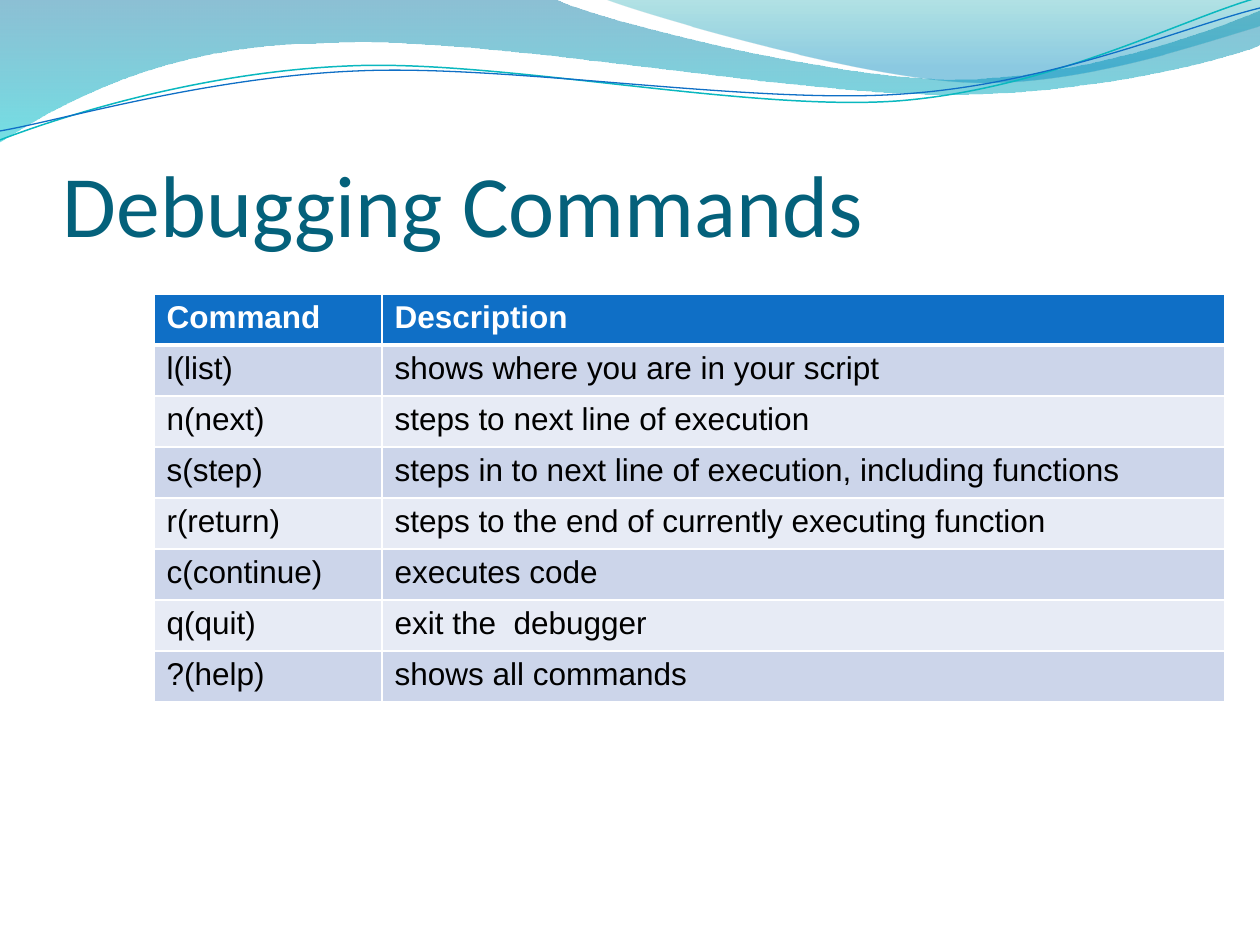
from dataclasses import dataclass
from lxml.etree import SubElement
from pptx import Presentation
from pptx.dml.color import RGBColor
from pptx.enum.text import MSO_ANCHOR
from pptx.oxml import parse_xml
from pptx.oxml.ns import nsdecls, qn
from pptx.util import Pt

PX = 914400 // 126


@dataclass(frozen=True)
class Theme:
    title: str = "04617B"
    head: str = "0F6FC6"
    bands: tuple = ("CCD5EA", "E7EBF5")
    white: str = "FFFFFF"
    ink: str = "000000"
    teal: str = "0AB8BF"
    wave: tuple = ((0, "0074A1", 45), (100, "00C6CF", 55))
    glow: tuple = ((0, "00A1A9", 30), (80, "008BBF", 45))
    big: int = 50
    body: int = 18
    serif: str = "Calibri"
    sans: str = "Arial"


THEME = Theme()

WAVE = [
    (0, -1), (554, -1),
    (600, 21, 837, 79, 955, 79), (1075, 79, 1207, 33, 1260, 11),
    (1261, 45),
    (1239, 55, 1096, 96, 940, 94), (784, 94, 481, 35, 324, 43),
    (163, 44, 58, 105, -1, 142),
]
GLOW = [
    (604, -1),
    (641, 14, 859, 78, 969, 82), (1079, 87, 1211, 40, 1260, 26),
    (1260, 0),
]
TEAL = [
    (0, 140),
    (60, 117, 199, 72, 349, 66), (498, 59, 747, 112, 898, 101),
    (1050, 89, 1182, 19, 1257, -2),
]
BLUE = [
    (0, 131),
    (59, 121, 207, 77, 357, 71), (508, 64, 752, 105, 903, 94),
    (1053, 84, 1186, 26, 1260, 8),
]
ROWS = [
    ("Command", "Description"),
    ("l(list)", "shows where you are in your script"),
    ("n(next)", "steps to next line of execution"),
    ("s(step)", "steps in to next line of execution, including functions"),
    ("r(return)", "steps to the end of currently executing function"),
    ("c(continue)", "executes code"),
    ("q(quit)", "exit the  debugger"),
    ("?(help)", "shows all commands"),
]


def rgb(code):
    return RGBColor.from_string(code)


def emu(*sizes):
    return [size * PX for size in sizes]


def bend(shape, parts):
    lines = list(shape._element.iter(qn("a:lnTo")))
    for line, part in zip(lines, parts):
        if len(part) == 2:
            continue
        line.tag = qn("a:cubicBezTo")
        line.clear()
        for x, y in zip(part[::2], part[1::2]):
            SubElement(line, qn("a:pt"), x=str(x - shape.left), y=str(y - shape.top))


def draw(slide, box, outline, close):
    left, top = box[:2]
    parts = [emu(*(n + (top if i % 2 else left) for i, n in enumerate(part)))
             for part in outline]
    ends = [part[-2:] for part in parts]
    pen = slide.shapes.build_freeform(*ends[0])
    pen.add_line_segments(ends[1:], close=close)
    shape = pen.convert_to_shape()
    shape.shadow.inherit = False
    bend(shape, parts[1:])
    return shape


def area(slide, box, outline, stops):
    shape = draw(slide, box, outline, True)
    shape.line.fill.background()
    shape.fill.gradient()
    shape.fill.gradient_angle = 270
    for stop, (place, code, _) in zip(shape.fill.gradient_stops, stops):
        stop.position = place / 100
        stop.color.rgb = rgb(code)
    for tint, (_, _, alpha) in zip(shape._element.iter(qn("a:srgbClr")), stops):
        SubElement(tint, qn("a:alpha"), val=str(alpha * 1000))


def curve(slide, box, outline, code, width):
    shape = draw(slide, box, outline, False)
    shape.fill.background()
    shape.line.color.rgb = rgb(code)
    shape.line.width = Pt(width)


def banner(slide, box):
    area(slide, box, WAVE, THEME.wave)
    area(slide, box, GLOW, THEME.glow)
    curve(slide, box, TEAL, THEME.teal, 0.85)
    curve(slide, box, BLUE, THEME.head, 0.75)


def style(para, name, size, code, bold=False):
    font = para.font
    font.name, font.size, font.bold = name, Pt(size), bold
    font.color.rgb = rgb(code)


def title(slide, box, text):
    frame = slide.shapes.add_textbox(*emu(*box)).text_frame
    frame.word_wrap = True
    frame.vertical_anchor = MSO_ANCHOR.BOTTOM
    frame.margin_left = frame.margin_right = frame.margin_bottom = 0
    frame.text = text
    style(frame.paragraphs[0], THEME.serif, THEME.big, THEME.title)


def border(cell, row):
    props = cell._tc.get_or_add_tcPr()
    thick = {0: "B", 1: "T"}.get(row)
    for spot, side in enumerate("LRTB"):
        width = Pt(3 if side == thick else 1)
        props.insert(spot, parse_xml(
            f'<a:ln{side} {nsdecls("a")} w="{width}"><a:solidFill>'
            f'<a:srgbClr val="{THEME.white}"/></a:solidFill></a:ln{side}>'))


def grid(slide, box, rows, first):
    table = slide.shapes.add_table(len(rows), 2, *emu(*box)).table
    for col, width in zip(table.columns, emu(first, box[2] - first)):
        col.width = width
    for r, texts in enumerate(rows):
        head = r == 0
        for c, text in enumerate(texts):
            cell = table.cell(r, c)
            cell.text = text
            cell.fill.solid()
            cell.fill.fore_color.rgb = rgb(THEME.head if head else THEME.bands[(r - 1) % 2])
            style(cell.text_frame.paragraphs[0], THEME.sans, THEME.body,
                  THEME.white if head else THEME.ink, head)
            border(cell, r)


def main():
    deck = Presentation()
    deck.slide_width, deck.slide_height = emu(1260, 945)
    slide = deck.slides.add_slide(deck.slide_layouts[6])
    banner(slide, (0, 0, 1260, 142))
    title(slide, (63, 97, 1134, 158), "Debugging Commands")
    grid(slide, (154, 294, 1071, 408), ROWS, 228)
    deck.save("out.pptx")


if __name__ == "__main__":
    main()
